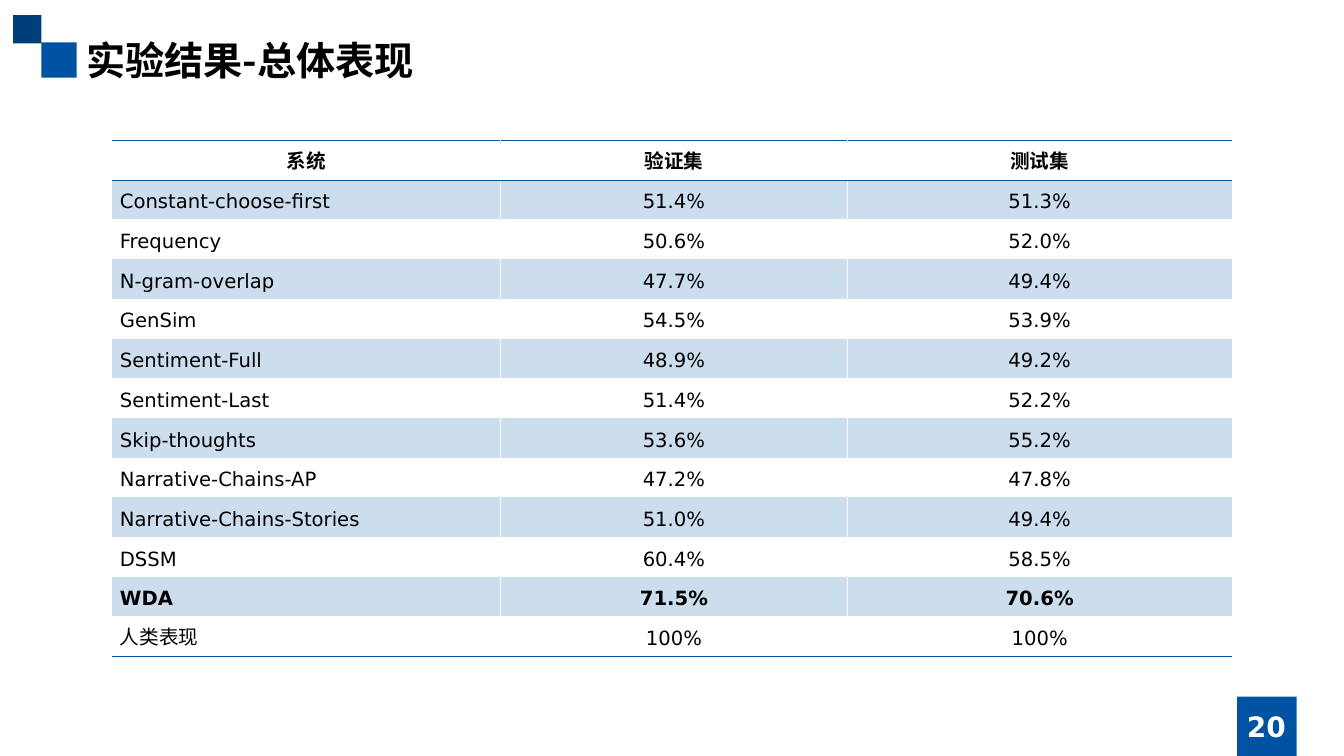
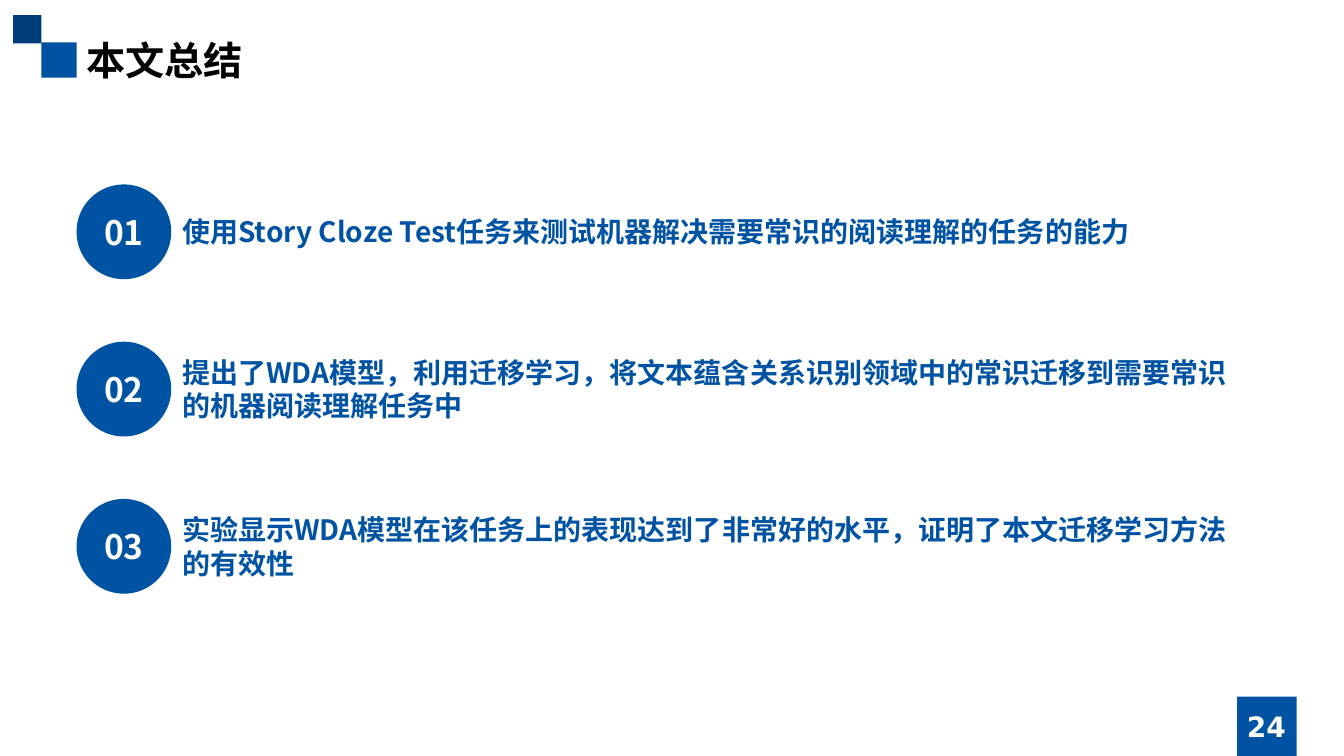
from lxml.etree import SubElement
from pptx import Presentation
from pptx.dml.color import RGBColor
from pptx.enum.shapes import MSO_SHAPE as SHAPE
from pptx.enum.text import MSO_ANCHOR as ANCHOR, MSO_AUTO_SIZE as FIT, PP_ALIGN as ALIGN
from pptx.oxml import parse_xml
from pptx.oxml.ns import nsdecls, qn
from pptx.util import Inches, Pt

BLUE = RGBColor(0x00, 0x53, 0xA3)
NAVY = RGBColor(0x00, 0x3E, 0x7A)
PALE = RGBColor(0xCC, 0xDD, 0xED)
WHITE = RGBColor(0xFF, 0xFF, 0xFF)
BLACK = RGBColor(0x00, 0x00, 0x00)
CJK, LATIN = "Noto Sans CJK SC", "DejaVu Sans"

TITLE = {"size": Pt(28), "bold": True, "name": CJK, "color": BLACK}
NUMBER = {"size": Pt(20), "bold": True, "name": LATIN, "color": WHITE}
BADGE = {"size": Pt(24), "bold": True, "name": CJK, "color": WHITE}
POINT = {"size": Pt(20), "bold": True, "name": CJK, "color": BLUE}
CELL = {"size": Pt(14), "bold": False, "name": LATIN, "color": BLACK}

SYSTEM_HEADS = ("系统", "验证集", "测试集")
SYSTEM_ROWS = [
    ("Constant-choose-first", "51.4%", "51.3%"),
    ("Frequency", "50.6%", "52.0%"),
    ("N-gram-overlap", "47.7%", "49.4%"),
    ("GenSim", "54.5%", "53.9%"),
    ("Sentiment-Full", "48.9%", "49.2%"),
    ("Sentiment-Last", "51.4%", "52.2%"),
    ("Skip-thoughts", "53.6%", "55.2%"),
    ("Narrative-Chains-AP", "47.2%", "47.8%"),
    ("Narrative-Chains-Stories", "51.0%", "49.4%"),
    ("DSSM", "60.4%", "58.5%"),
    ("WDA", "71.5%", "70.6%"),
    ("人类表现", "100%", "100%"),
]
BEST_SYSTEM = "WDA"

# Each conclusion with the number of lines it takes
CONCLUSIONS = [
    ("使用Story Cloze Test任务来测试机器解决需要常识的阅读理解的任务的能力", 1),
    ("提出了WDA模型，利用迁移学习，将文本蕴含关系识别领域中的常识迁移到需要常识的机器阅读理解任务中", 2),
    ("实验显示WDA模型在该任务上的表现达到了非常好的水平，证明了本文迁移学习方法的有效性", 2),
]


def write(tf, text, style, align=ALIGN.LEFT, line_spacing=None):
    p = tf.paragraphs[0]
    p.alignment, p.line_spacing = align, line_spacing
    r = p.add_run()
    r.text = text
    for key, value in style.items():
        if key == "color":
            r.font.color.rgb = value
        else:
            setattr(r.font, key, value)
    SubElement(r._r.get_or_add_rPr(), qn("a:ea"), typeface=style["name"])


def set_borders(cell, colors):
    """Draw the left, right, top and bottom borders; None means no line."""
    tc_pr = cell._tc.get_or_add_tcPr()
    for i, (side, color) in enumerate(zip("LRTB", colors)):
        fill = (f'<a:solidFill><a:srgbClr val="{color}"/></a:solidFill>'
                if color else "<a:noFill/>")
        tc_pr.insert(i, parse_xml(
            f'<a:ln{side} {nsdecls("a")} w="{Pt(0.45)}">{fill}</a:ln{side}>'))


class Deck:
    """The presentation, its style and the slide being built."""

    def __init__(self):
        self.prs = Presentation()
        self.prs.slide_width, self.prs.slide_height = Inches(13.34), Inches(7.5)
        self.s = None

    def add_slide(self, title, number):
        self.s = self.prs.slides.add_slide(self.prs.slide_layouts[6])
        self.shape(SHAPE.RECTANGLE, 0.41, 0.42, 0.35, BLUE)
        self.shape(SHAPE.RECTANGLE, 0.13, 0.15, 0.28, NAVY)
        self.shape(SHAPE.RECTANGLE, 12.28, 6.91, 0.59, BLUE)
        self.text(0.76, 0.31, 11.81, 0.57, title, TITLE, auto_size=FIT.SHAPE_TO_FIT_TEXT)
        self.text(11.81, 7.01, 1.52, 0.4, str(number), NUMBER, ALIGN.CENTER,
                  vertical_anchor=ANCHOR.MIDDLE)

    def shape(self, kind, left, top, size, color):
        sp = self.s.shapes.add_shape(kind, *map(Inches, (left, top, size, size)))
        sp.shadow.inherit = False
        sp.fill.solid()
        sp.fill.fore_color.rgb = color
        sp.line.fill.background()
        return sp

    def text(self, left, top, width, height, text, style, align=ALIGN.LEFT, **frame):
        sp = self.s.shapes.add_textbox(*map(Inches, (left, top, width, height)))
        tf = sp.text_frame
        for key, value in {"word_wrap": True, **frame}.items():
            setattr(tf, key, value)
        write(tf, text, style, align)

    def badge(self, left, top, size, text):
        tf = self.shape(SHAPE.OVAL, left, top, size, BLUE).text_frame
        tf.vertical_anchor = ANCHOR.MIDDLE
        write(tf, text, BADGE, ALIGN.CENTER)

    def table(self, left, top, widths, height, heads, rows, best):
        grid = [heads, *rows]
        last_row, last_col = len(grid) - 1, len(heads) - 1
        frame = self.s.shapes.add_table(len(grid), len(heads), *map(
            Inches, (left, top, sum(widths), height)))
        table = frame.table
        table.first_row = table.horz_banding = False
        for column, width in zip(table.columns, widths):
            column.width = Inches(width)
        for i, row in enumerate(grid):
            for j, text in enumerate(row):
                cell = table.cell(i, j)
                cell.vertical_anchor = ANCHOR.MIDDLE
                cell.margin_left = cell.margin_right = Inches(0.08)
                if i % 2:
                    cell.fill.solid()
                    cell.fill.fore_color.rgb = PALE
                else:
                    cell.fill.background()
                set_borders(cell, (
                    WHITE if j > 0 else None,
                    WHITE if j < last_col else None,
                    BLUE if i in (0, 1) else None,
                    BLUE if i in (0, last_row) else None))
                style = {**CELL, "bold": i == 0 or row[0] == best,
                         "name": LATIN if text.isascii() else CJK}
                align = ALIGN.CENTER if i == 0 or j else ALIGN.LEFT
                write(cell.text_frame, text, style, align, Pt(20))

    def conclusions(self, items, left=0.76, top=1.83, size=0.94, step=1.56):
        """Numbered circles, each with its text centred beside it."""
        for i, (text, lines) in enumerate(items):
            y = top + i * step
            height = 0.11 + 0.33 * lines
            self.badge(left, y, size, f"{i + 1:02}")
            self.text(left + size + 0.01, y + (size - height) / 2, 10.83, height,
                      text, POINT, auto_size=FIT.SHAPE_TO_FIT_TEXT)


def main():
    deck = Deck()
    deck.add_slide("实验结果-总体表现", 20)
    deck.table(1.11, 1.39, (3.86, 3.44, 3.82), 5.12, SYSTEM_HEADS, SYSTEM_ROWS, BEST_SYSTEM)
    deck.add_slide("本文总结", 24)
    deck.conclusions(CONCLUSIONS)
    deck.prs.save("out.pptx")


if __name__ == "__main__":
    main()
